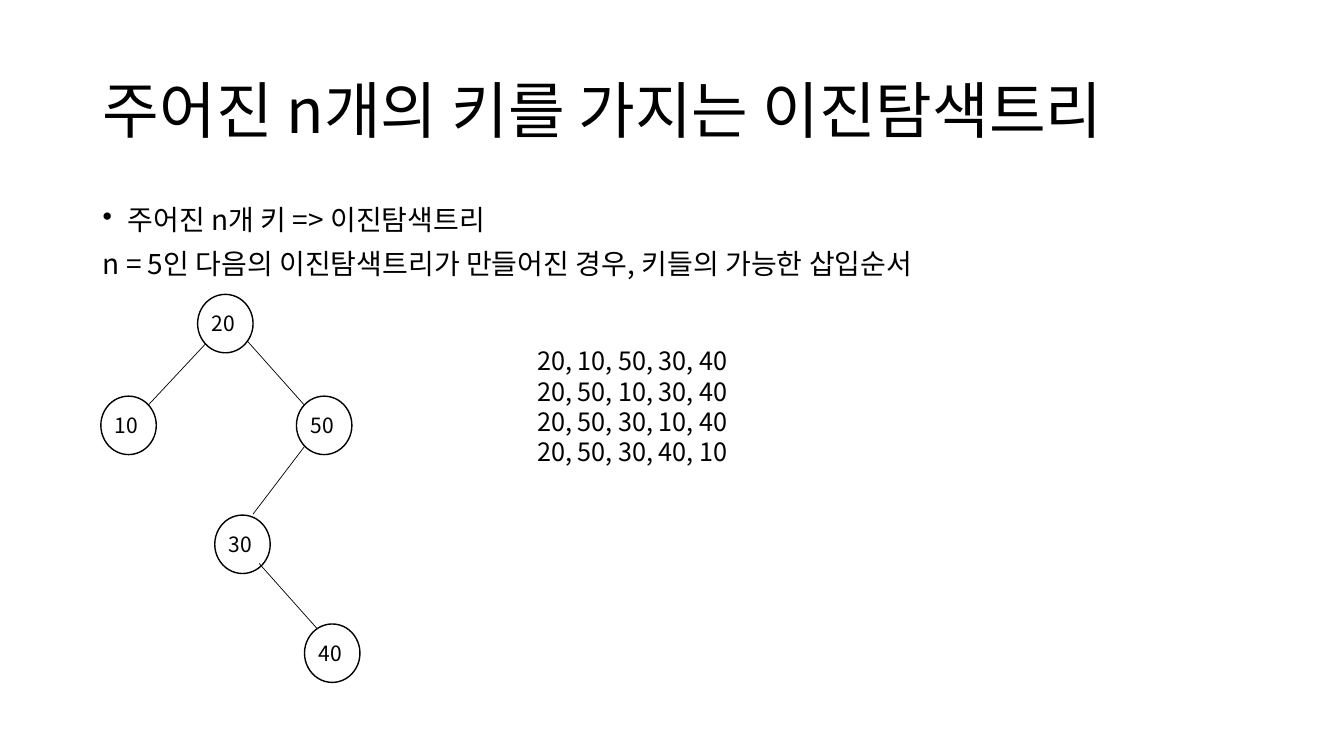
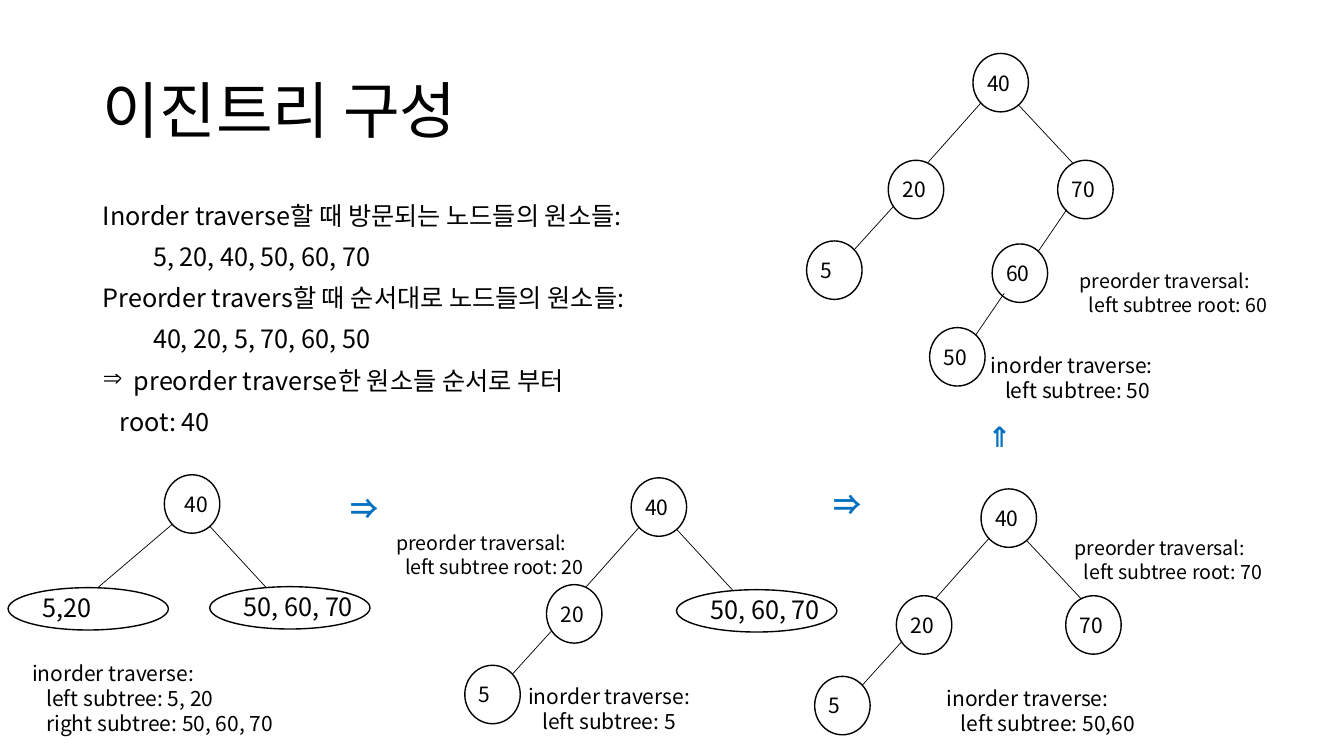
from dataclasses import dataclass

from lxml import etree
from pptx import Presentation
from pptx.dml.color import RGBColor
from pptx.enum import shapes, text
from pptx.oxml import ns
from pptx.slide import Slide
from pptx.util import Inches, Pt

Point = tuple[float, float]


@dataclass(frozen=True)
class Theme:
    font: str = "Noto Sans CJK KR"
    ink: RGBColor = RGBColor(0, 0, 0)
    paper: RGBColor = RGBColor(255, 255, 255)
    accent: RGBColor = RGBColor(0, 0x70, 0xC0)
    title_size: float = 44
    lead_size: float = 20
    body_size: float = 18
    node_size: float = 15
    preorder_size: float = 14
    outline: float = 1
    edge: float = 0.5


THEME = Theme()
NODE_SIZE: Point = (0.55, 0.58)
GROUP_SIZE: Point = (1.59, 0.42)


@dataclass(frozen=True)
class Line:
    words: str
    indent: float = 0
    bullet: str = ""


@dataclass(frozen=True)
class Branch:
    label: str
    offset: Point
    start: Point
    end: Point
    is_group: bool = False


@dataclass(frozen=True)
class Tree:
    label: str
    origin: Point
    branches: list[Branch]
    inset: float = 0.06


@dataclass(frozen=True)
class Note:
    origin: Point
    heading: str
    details: list[str]
    size: float
    indent: float


def inorder(origin: Point, *details: str) -> Note:
    return Note(origin, "inorder traverse:", list(details), THEME.node_size, 0.14)


def preorder(origin: Point, root: int) -> Note:
    return Note(origin, "preorder traversal:", [f"left subtree root: {root}"], THEME.preorder_size, 0.09)


def style_paragraph(paragraph, size: float, color: RGBColor = THEME.ink, bold: bool = False) -> None:
    font = paragraph.font
    font.size, font.bold, font.name = Pt(size), bold, THEME.font
    font.color.rgb = color
    properties = paragraph._p.get_or_add_pPr().find(ns.qn("a:defRPr"))
    etree.SubElement(properties, ns.qn("a:ea")).set("typeface", THEME.font)


def indent_paragraph(paragraph, line: Line) -> None:
    properties = paragraph._p.get_or_add_pPr()
    properties.set("marL", str(Inches(line.indent)))
    if line.bullet:
        properties.set("indent", str(-Inches(line.indent)))
        bullet = etree.Element(ns.qn("a:buChar"))
        bullet.set("char", line.bullet)
        properties.find(ns.qn("a:defRPr")).addprevious(bullet)


def add_text(slide: Slide, origin: Point, size: Point, lines: list[Line], font_size: float,
             color: RGBColor = THEME.ink, bold: bool = False, spacing: float = 1,
             before: float = 0, anchor=text.MSO_ANCHOR.TOP) -> None:
    box = slide.shapes.add_textbox(*map(Inches, origin + size))
    frame = box.text_frame
    frame.word_wrap = True
    frame.vertical_anchor = anchor
    for index, line in enumerate(lines):
        paragraph = frame.add_paragraph() if index else frame.paragraphs[0]
        paragraph.text = line.words
        paragraph.line_spacing = spacing
        paragraph.space_before = Pt(before)
        style_paragraph(paragraph, font_size, color, bold)
        indent_paragraph(paragraph, line)


def add_title(slide: Slide, words: str) -> None:
    add_text(slide, (0.92, 0.4), (11.5, 1.45), [Line(words)], THEME.title_size,
             spacing=0.9, anchor=text.MSO_ANCHOR.MIDDLE)


def add_body(slide: Slide, top: float, lines: list[Line], size: float) -> None:
    add_text(slide, (0.92, top), (11.5, 4.76), lines, size, spacing=0.9, before=10)


def add_ellipse(slide: Slide, origin: Point, size: Point):
    ellipse = slide.shapes.add_shape(shapes.MSO_SHAPE.OVAL, *map(Inches, origin + size))
    ellipse.shadow.inherit = False
    ellipse.fill.solid()
    ellipse.fill.fore_color.rgb = THEME.paper
    ellipse.line.color.rgb = THEME.ink
    ellipse.line.width = Pt(THEME.outline)
    return ellipse


def add_node(slide: Slide, origin: Point, label: str, inset: float = 0.06) -> None:
    frame = add_ellipse(slide, origin, NODE_SIZE).text_frame
    frame.margin_left = Inches(inset)
    frame.margin_right = frame.margin_top = frame.margin_bottom = 0
    frame.vertical_anchor = text.MSO_ANCHOR.MIDDLE
    paragraph = frame.paragraphs[0]
    paragraph.text = label
    paragraph.alignment = text.PP_ALIGN.LEFT
    style_paragraph(paragraph, THEME.node_size)


def add_group(slide: Slide, origin: Point, label: str) -> None:
    add_ellipse(slide, origin, GROUP_SIZE)
    add_text(slide, (origin[0] + 0.24, origin[1]), (1.45, 0.4), [Line(label)], THEME.body_size)


def add_edge(slide: Slide, start: Point, end: Point) -> None:
    edge = slide.shapes.add_connector(shapes.MSO_CONNECTOR.STRAIGHT, *map(Inches, start + end))
    edge.line.color.rgb = THEME.ink
    edge.line.width = Pt(THEME.edge)
    etree.SubElement(edge._element.spPr, ns.qn("a:effectLst"))


def add_tree(slide: Slide, tree: Tree) -> None:
    def place(offset: Point) -> Point:
        return tree.origin[0] + offset[0], tree.origin[1] + offset[1]

    add_node(slide, tree.origin, tree.label, tree.inset)
    for branch in tree.branches:
        add_edge(slide, place(branch.start), place(branch.end))
        draw = add_group if branch.is_group else add_node
        draw(slide, place(branch.offset), branch.label)


def add_note(slide: Slide, note: Note) -> None:
    lines = [Line(note.heading)] + [Line(detail, note.indent) for detail in note.details]
    add_text(slide, note.origin, (2.7, 0.3 * len(lines)), lines, note.size)


def add_arrow(slide: Slide, origin: Point, symbol: str) -> None:
    add_text(slide, origin, (0.57, 0.44), [Line(symbol)], THEME.lead_size, THEME.accent, True)


def build_search_tree(slide: Slide) -> None:
    add_title(slide, "주어진 n개의 키를 가지는 이진탐색트리")
    add_body(slide, 2, [
        Line("주어진 n개 키 => 이진탐색트리", 0.25, "•"),
        Line("n = 5인 다음의 이진탐색트리가 만들어진 경우, 키들의 가능한 삽입순서"),
    ], THEME.lead_size)
    add_tree(slide, Tree("20", (1.96, 2.92), [
        Branch("10", (-0.96, 1.01), (0.08, 0.49), (-0.49, 1.1)),
        Branch("50", (0.98, 1.01), (0.49, 0.46), (1.06, 1.1)),
        Branch("30", (0.17, 2.19), (1.06, 1.51), (0.55, 2.18)),
        Branch("40", (1.06, 3.27), (0.61, 2.67), (1.18, 3.31)),
    ]))
    orders = ["20, 10, 50, 30, 40", "20, 50, 10, 30, 40", "20, 50, 30, 10, 40", "20, 50, 30, 40, 10"]
    add_text(slide, (5.23, 3.38), (3.06, 1.31), [Line(order) for order in orders], THEME.body_size)


def build_traversals(slide: Slide) -> None:
    add_title(slide, "이진트리 구성")
    add_body(slide, 1.97, [
        Line("Inorder traverse할 때 방문되는 노드들의 원소들:"),
        Line("5, 20, 40, 50, 60, 70", 0.5),
        Line("Preorder travers할 때 순서대로 노드들의 원소들:"),
        Line("40, 20, 5, 70, 60, 50", 0.5),
        Line("preorder traverse한 원소들 순서로 부터", 0.31, "⇒"),
        Line("root: 40", 0.17),
    ], THEME.body_size)

    left_group = Branch("5,20", (-1.55, 1.12), (0.08, 0.49), (-0.66, 1.12), True)
    right_group = Branch("50, 60, 70", (0.45, 1.11), (0.45, 0.51), (1.02, 1.13), True)
    left_subtree = [
        Branch("20", (-0.84, 1.06), (0.08, 0.49), (-0.48, 1.12)),
        Branch("5", (-1.65, 1.86), (-0.79, 1.52), (-1.18, 1.95)),
    ]
    right_root = Branch("70", (0.84, 1.06), (0.45, 0.51), (1.02, 1.12))
    right_subtree = [
        right_root,
        Branch("60", (0.19, 1.89), (0.93, 1.55), (0.65, 1.96)),
        Branch("50", (-0.43, 2.72), (0.31, 2.38), (0.03, 2.79)),
    ]
    for tree in (
        Tree("40", (1.63, 4.71), [left_group, right_group], inset=0.12),
        Tree("40", (6.26, 4.74), [*left_subtree, right_group]),
        Tree("40", (9.73, 4.85), [*left_subtree, right_root]),
        Tree("40", (9.65, 0.53), [*left_subtree, *right_subtree]),
    ):
        add_tree(slide, tree)

    for note in (
        inorder((0.22, 6.5), "left subtree: 5, 20", "right subtree: 50, 60, 70"),
        inorder((5.14, 6.73), "left subtree: 5"),
        inorder((9.29, 6.75), "left subtree: 50,60"),
        inorder((9.73, 3.45), "left subtree: 50"),
        preorder((3.83, 5.22), 20),
        preorder((10.56, 5.27), 70),
        preorder((10.61, 2.62), 60),
    ):
        add_note(slide, note)

    for origin, symbol in (((3.38, 4.83), "⇒"), ((8.17, 4.79), "⇒"), ((9.7, 4.11), "⇑")):
        add_arrow(slide, origin, symbol)


def main() -> None:
    presentation = Presentation()
    presentation.slide_width, presentation.slide_height = Inches(13.33), Inches(7.5)
    for build in (build_search_tree, build_traversals):
        build(presentation.slides.add_slide(presentation.slide_layouts[6]))
    presentation.save("out.pptx")


main()
